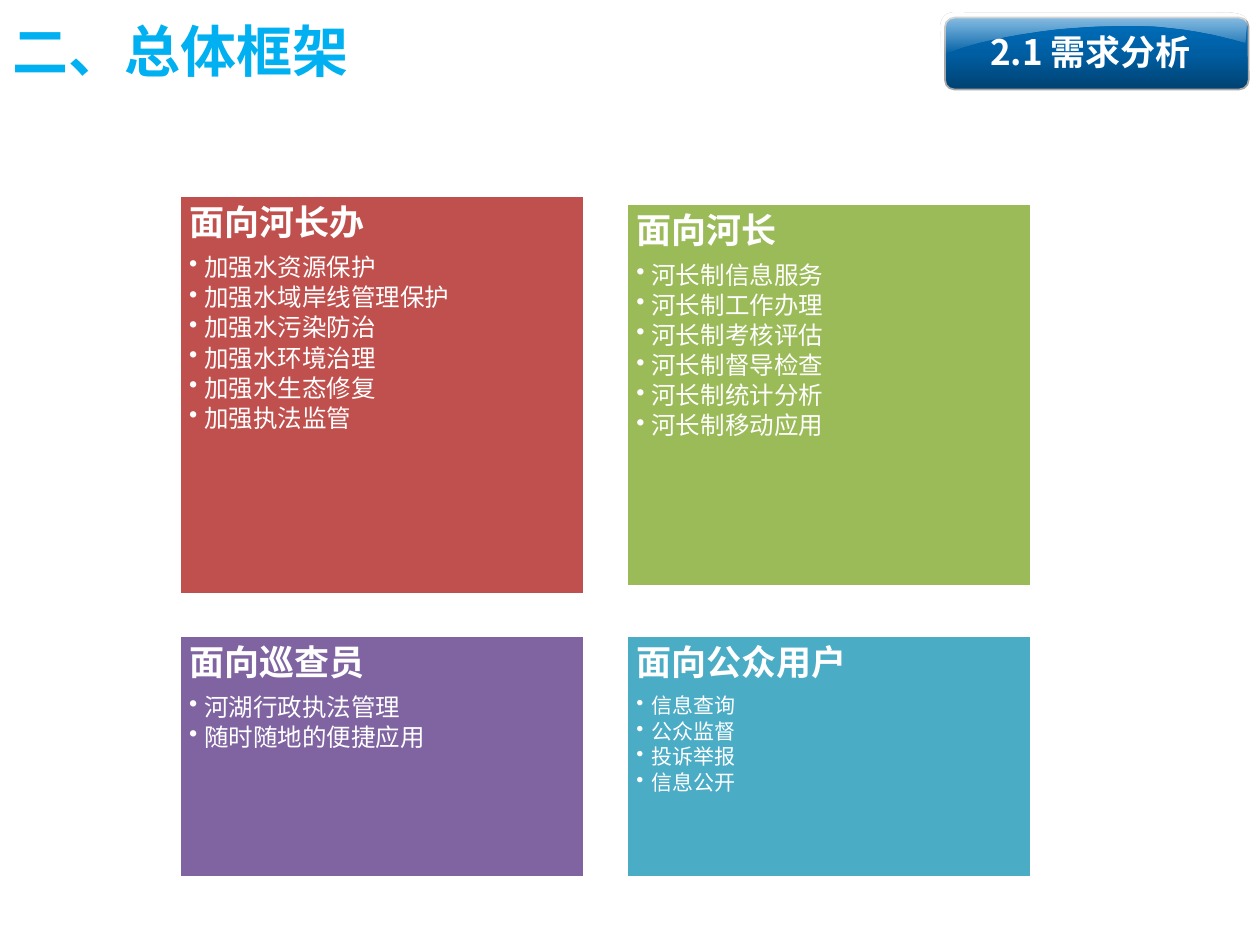
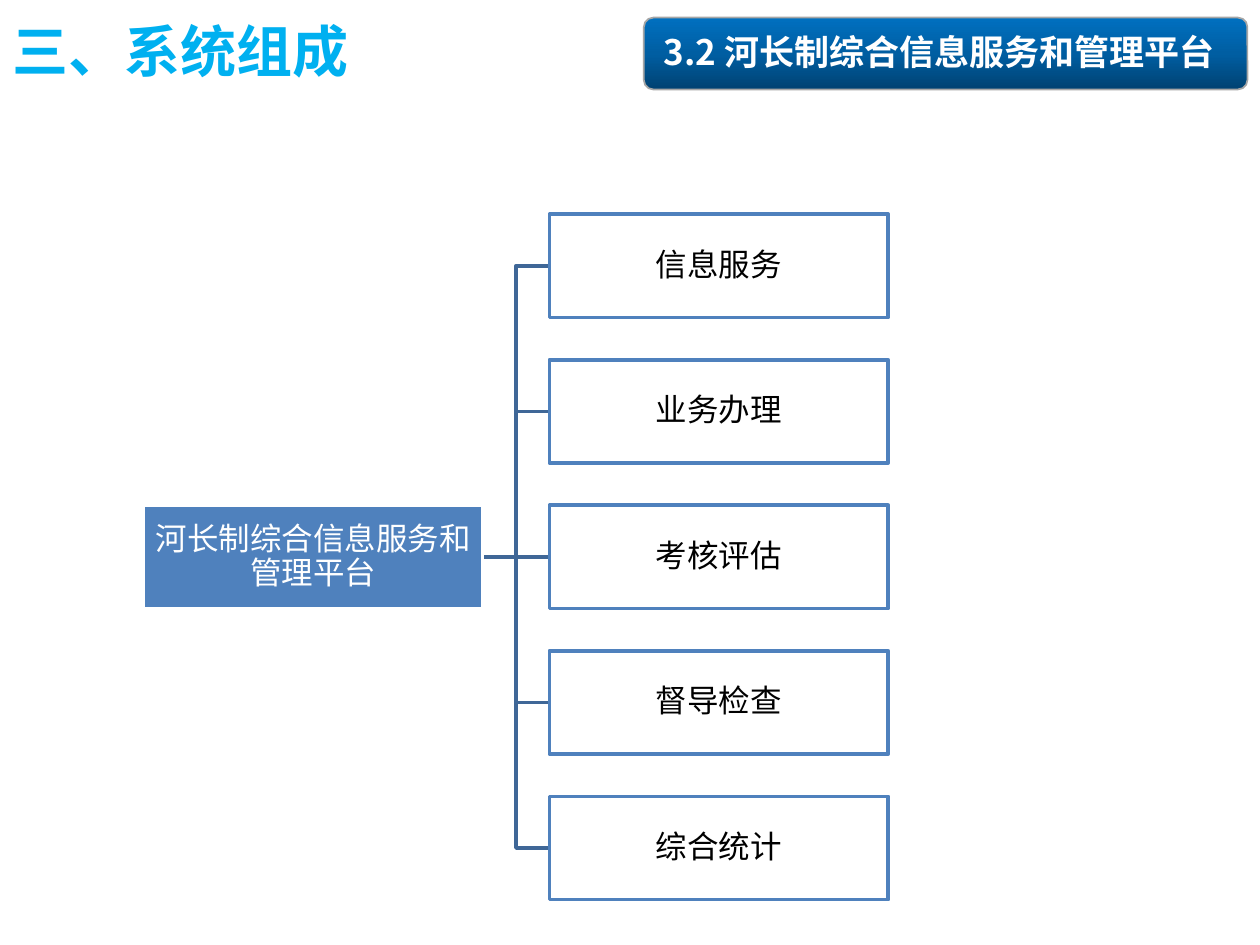
from dataclasses import dataclass

from lxml import etree
from pptx import Presentation
from pptx.dml.color import RGBColor
from pptx.enum.shapes import MSO_CONNECTOR, MSO_SHAPE
from pptx.enum.text import MSO_ANCHOR, PP_ALIGN
from pptx.oxml.ns import qn
from pptx.util import Inches, Pt

RECTANGLE, ROUNDED = MSO_SHAPE.RECTANGLE, MSO_SHAPE.ROUNDED_RECTANGLE
ELBOW, STRAIGHT = MSO_CONNECTOR.ELBOW, MSO_CONNECTOR.STRAIGHT
TOP, MIDDLE = MSO_ANCHOR.TOP, MSO_ANCHOR.MIDDLE
LEFT, CENTER = PP_ALIGN.LEFT, PP_ALIGN.CENTER
RIGHT_SITE, LEFT_SITE = 3, 1
COLUMNS, ROWS = 100, 75


@dataclass(frozen=True)
class Theme:
    """Colours, fonts and type sizes shared by the slides."""
    title: str = "00B0F0"
    white: str = "FFFFFF"
    black: str = "000000"
    blue: str = "4F81BD"
    link: str = "3F6797"
    button_line: str = "A6A6A6"
    button_stops: tuple = ((0, "004272", 100), (50, "005EA2", 100), (100, "0070C0", 100))
    gloss_stops: tuple = ((0, "FFFFFF", 45), (13, "FFFFFF", 53), (98, "FFFFFF", 0))
    heading_font: str = "Noto Sans CJK SC"
    body_font: str = "Arial"
    title_size: int = 32
    heading_size: int = 20
    node_size: int = 18
    bullet_size: int = 14
    small_size: int = 12


def assign(target, values):
    """Set each attribute of the target from a dict."""
    for name, value in values.items():
        setattr(target, name, value)


def curve(start, first, second, end, steps=10):
    """Return points along a cubic curve, without its start."""
    points = []
    for step in range(1, steps + 1):
        t = step / steps
        weights = ((1 - t) ** 3, 3 * t * (1 - t) ** 2, 3 * t * t * (1 - t), t ** 3)
        points.append(tuple(sum(weight * point[axis] for weight, point
                                in zip(weights, (start, first, second, end)))
                            for axis in (0, 1)))
    return points


class SlideBuilder:
    """Draws themed elements on the current slide, on a grid of cells."""

    def __init__(self, presentation, theme):
        """Keep the presentation and its theme."""
        self.presentation, self.theme = presentation, theme
        self.column = presentation.slide_width / COLUMNS
        self.row = presentation.slide_height / ROWS
        self.slide = None

    def new_slide(self, title):
        """Start a blank slide with its section title."""
        self.slide = self.presentation.slides.add_slide(self.presentation.slide_layouts[6])
        frame = self.text_box((0, 0, 44.2, 7.9), MIDDLE)
        self.add_text(frame.paragraphs[0], title, self.theme.title_size, self.theme.title,
                      self.theme.heading_font, bold=True)

    def place(self, area):
        """Turn left, top, width and height in cells into lengths."""
        left, top, width, height = area
        return (round(left * self.column), round(top * self.row),
                round(width * self.column), round(height * self.row))

    def text_box(self, area, anchor):
        """Add a wrapping text box and return its frame."""
        frame = self.slide.shapes.add_textbox(*self.place(area)).text_frame
        assign(frame, {"word_wrap": True, "vertical_anchor": anchor})
        return frame

    def add_text(self, paragraph, text, size, color, font, bold=False, **layout):
        """Fill a paragraph with one formatted run."""
        assign(paragraph, layout)
        run = paragraph.add_run()
        run.text = text
        run.font.color.rgb = RGBColor.from_string(color)
        assign(run.font, {"size": Pt(size), "bold": bold, "name": font})
        etree.SubElement(run.font._element, qn("a:ea"), typeface=font)

    def shape(self, kind, area, line, width):
        """Add a preset shape with an outline and no shadow."""
        shape = self.slide.shapes.add_shape(kind, *self.place(area))
        shape.shadow.inherit = False
        shape.line.color.rgb = RGBColor.from_string(line)
        shape.line.width = Pt(width)
        return shape

    def box(self, area, fill, line, inset, anchor):
        """Add a filled rectangle ready for text."""
        shape = self.shape(RECTANGLE, area, line, 2)
        shape.fill.solid()
        shape.fill.fore_color.rgb = RGBColor.from_string(fill)
        margins = {f"margin_{side}": Inches(inset) for side in ("left", "top", "right", "bottom")}
        assign(shape.text_frame, {"word_wrap": True, "vertical_anchor": anchor, **margins})
        return shape

    def gradient(self, shape, stops, angle):
        """Fill a shape with colour stops of position, colour and opacity."""
        shape.fill.gradient()
        shape.fill.gradient_angle = angle
        stop_list = shape._element.spPr.find(qn("a:gradFill")).find(qn("a:gsLst"))
        for old_stop in list(stop_list):
            stop_list.remove(old_stop)
        for position, color, opacity in stops:
            stop = etree.SubElement(stop_list, qn("a:gs"), pos=str(position * 1000))
            tint = etree.SubElement(stop, qn("a:srgbClr"), val=color)
            if opacity < 100:
                etree.SubElement(tint, qn("a:alpha"), val=str(opacity * 1000))

    def button(self, text, left, width, glossy=False):
        """Add the section button that ends at the right margin."""
        shape = self.shape(ROUNDED, (left, 1.4, width, 5.7), self.theme.button_line, 1)
        shape.adjustments[0] = 0.13
        self.gradient(shape, self.theme.button_stops, 90)
        if glossy:
            self.gloss()
        frame = self.text_box((left - 0.5, 1.9, width, 4.4), TOP)
        self.add_text(frame.paragraphs[0], text, self.theme.heading_size, self.theme.white,
                      self.theme.heading_font, bold=True, alignment=CENTER)

    def gloss(self):
        """Add the light reflection over the button."""
        points = [(74.7, 4.4)]
        for bend in (((77, 3.4), (79.7, 2.9), (82.5, 2.5)),
                     ((85.3, 2.1), (88.8, 2), (91.5, 2.1)),
                     ((94.2, 2.3), (96.4, 2.7), (98.8, 3.4)),
                     ((98.9, 2.3), (99, 1.7), (98.8, 1.4)),
                     ((98.3, 0.9), (97.1, 1), (96.1, 1))):
            points += curve(points[-1], *bend)
        points.append((77, 1))
        for bend in (((76.4, 1), (75.6, 0.9), (75.2, 1.1)),
                     ((74.4, 1.6), (74.7, 2.5), (74.7, 2.9))):
            points += curve(points[-1], *bend)
        lengths = [(x * self.column, y * self.row) for x, y in points]
        outline = self.slide.shapes.build_freeform(*lengths[0])
        outline.add_line_segments(lengths[1:], close=True)
        shape = outline.convert_to_shape()
        shape.shadow.inherit = False
        shape.line.fill.background()
        self.gradient(shape, self.theme.gloss_stops, 270)

    def panel(self, area, fill, heading, items, size):
        """Add a coloured panel with a heading and bullets."""
        frame = self.box(area, fill, self.theme.white, 0.08, TOP).text_frame
        style = {"color": self.theme.white, "font": self.theme.body_font,
                 "alignment": LEFT, "line_spacing": 0.9}
        self.add_text(frame.paragraphs[0], heading, self.theme.heading_size, bold=True,
                      space_after=Pt(7), **style)
        for item in items:
            paragraph = frame.add_paragraph()
            self.add_text(paragraph, item, size, level=1, space_after=Pt(0.15 * size), **style)
            properties = paragraph._p.get_or_add_pPr()
            indent = Inches(0.12)
            properties.set("marL", str(indent))
            properties.set("indent", str(-indent))
            etree.SubElement(properties, qn("a:buChar"), char="•")

    def node(self, text, left, top, fill, line, color):
        """Add one box of the tree."""
        shape = self.box((left, top, 26.9, 8.2), fill, line, 0.01, MIDDLE)
        self.add_text(shape.text_frame.paragraphs[0], text, self.theme.node_size, color,
                      self.theme.body_font, alignment=CENTER, line_spacing=0.9)
        return shape

    def link(self, parent, child):
        """Join two boxes with a line behind them."""
        kind = STRAIGHT if parent.top == child.top else ELBOW
        connector = self.slide.shapes.add_connector(kind, 0, 0, 0, 0)
        connector.begin_connect(parent, RIGHT_SITE)
        connector.end_connect(child, LEFT_SITE)
        connector.line.color.rgb = RGBColor.from_string(self.theme.link)
        connector.line.width = Pt(2)
        etree.SubElement(connector._element.spPr, qn("a:effectLst"))
        self.slide.shapes._spTree.insert(2, connector._element)


def requirements(builder):
    """Build the slide on what each user group needs."""
    theme = builder.theme
    builder.new_slide("二、总体框架")
    builder.button("2.1 需求分析", 75, 24.1, glossy=True)
    groups = (
        ("面向河长办", "C0504D", 15.5, 31.7, theme.bullet_size,
         ("加强水资源保护", "加强水域岸线管理保护", "加强水污染防治",
          "加强水环境治理", "加强水生态修复", "加强执法监管")),
        ("面向河长", "9BBB59", 16.1, 30.5, theme.bullet_size,
         ("河长制信息服务", "河长制工作办理", "河长制考核评估",
          "河长制督导检查", "河长制统计分析", "河长制移动应用")),
        ("面向巡查员", "8064A2", 50.4, 19.3, theme.bullet_size,
         ("河湖行政执法管理", "随时随地的便捷应用")),
        ("面向公众用户", "4BACC6", 50.4, 19.3, theme.small_size,
         ("信息查询", "公众监督", "投诉举报", "信息公开")),
    )
    for index, (heading, fill, top, height, size, items) in enumerate(groups):
        left = 14.2 + index % 2 * 35.5
        builder.panel((left, top, 32.2, height), fill, heading, items, size)


def platform_modules(builder):
    """Build the slide on the modules of the platform."""
    theme = builder.theme
    name = "河长制综合信息服务和管理平台"
    modules = ("信息服务", "业务办理", "考核评估", "督导检查", "综合统计")
    first_top, step = 17, 11.55
    builder.new_slide("三、系统组成")
    root_top = first_top + len(modules) // 2 * step
    root = builder.node(name, 11.4, root_top, theme.blue, theme.white, theme.white)
    for index, module in enumerate(modules):
        child = builder.node(module, 43.6, first_top + index * step,
                             theme.white, theme.blue, theme.black)
        builder.link(root, child)
    builder.button(f"3.2 {name}", 51.1, 47.9)


def main():
    """Build the presentation and save it."""
    presentation = Presentation()
    assign(presentation, {"slide_width": Inches(10), "slide_height": Inches(7.5)})
    builder = SlideBuilder(presentation, Theme())
    requirements(builder)
    platform_modules(builder)
    presentation.save("out.pptx")


if __name__ == "__main__":
    main()
